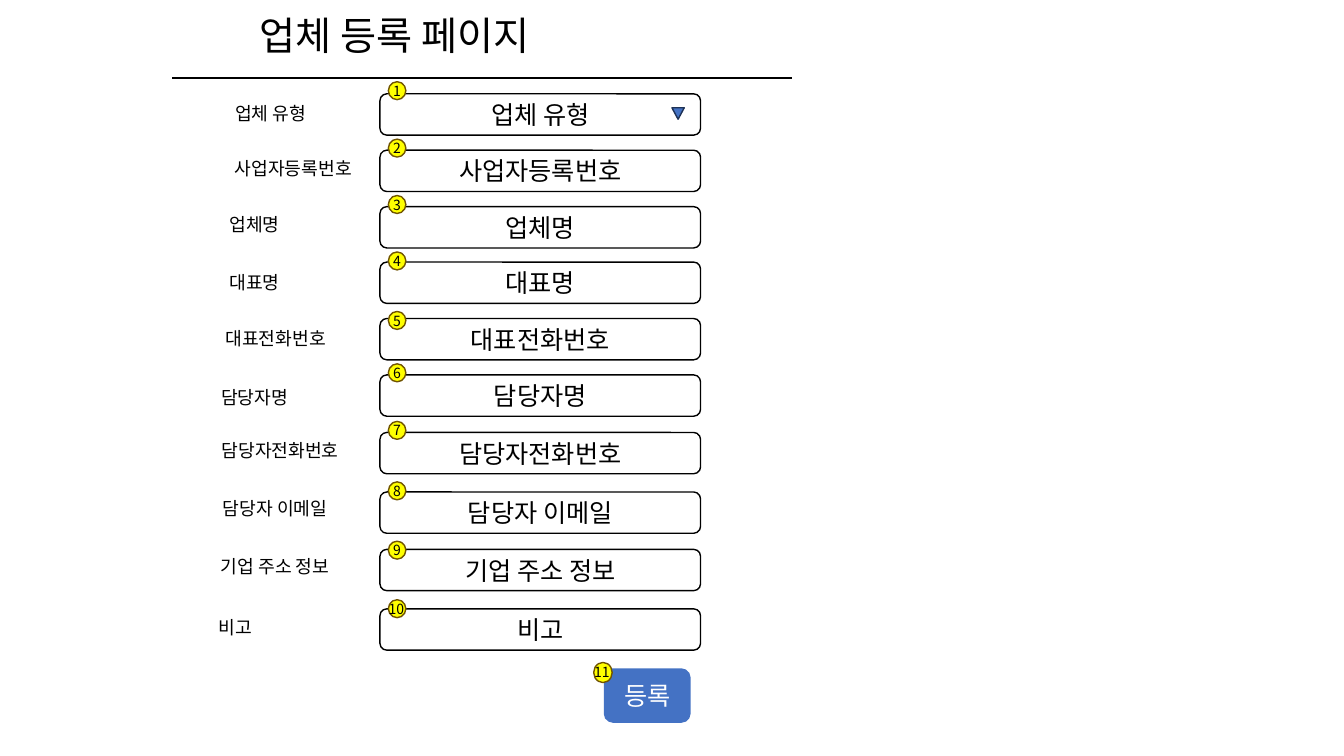
import pptx
import pptx.dml.color
import pptx.enum.shapes
import pptx.enum.text
import pptx.oxml.ns
import pptx.util
import lxml.etree

Pt = pptx.util.Pt
SHAPE = pptx.enum.shapes.MSO_SHAPE
ALIGN = pptx.enum.text.PP_ALIGN
ANCHOR = pptx.enum.text.MSO_ANCHOR
FIT = pptx.enum.text.MSO_AUTO_SIZE
FONT = "Noto Sans CJK KR"
BLACK, WHITE, BLUE = "000000", "FFFFFF", "4472C4"
YELLOW, BROWN, NAVY = "FFFF00", "705400", "1E3256"

NO_MARGINS = {"margin_left": 0, "margin_right": 0, "margin_top": 0, "margin_bottom": 0}
CENTERED = {"vertical_anchor": ANCHOR.MIDDLE, "word_wrap": True}
BADGE_FRAME = {**NO_MARGINS, "vertical_anchor": ANCHOR.MIDDLE, "word_wrap": False}
GROWING = {"word_wrap": True, "auto_size": FIT.SHAPE_TO_FIT_TEXT}

FIELD_WIDTH, FIELD_HEIGHT = 229, 29.5
LABEL_HEIGHT = 26.6

# name, field top, label left, label width, label shift, badge shift
FIELDS = [
    ("업체 유형", 67, 145.4, 95.8, 0.7, -8.6),
    ("사업자등록번호", 107.3, 156.2, 106.6, -0.7, -7.9),
    ("업체명", 147.6, 133.9, 95.8, -0.7, -7.9),
    ("대표명", 187.2, 133.9, 95.8, 1.4, -7.2),
    ("대표전화번호", 227.5, 149, 95.8, 0.7, -5),
    ("담당자명", 267.8, 133.9, 95.8, 2.9, -7.9),
    ("담당자전화번호", 308.9, 145.4, 109.4, -0.7, -7.9),
    ("담당자 이메일", 351.4, 145.4, 102.2, -1.4, -7.2),
    ("기업 주소 정보", 392.4, 145.4, 102.2, -1.4, -5.8),
    ("비고", 434.9, 120.2, 95.8, 0, -6.5),
]


def color(value):
    return pptx.dml.color.RGBColor.from_string(value)


def apply(target, values):
    for name, value in values.items():
        setattr(target, name, value)


def write(part, text, size, ink, frame, align):
    apply(part.text_frame, frame)
    paragraph = part.text_frame.paragraphs[0]
    paragraph.alignment = align
    run = paragraph.add_run()
    apply(run, {"text": text})
    apply(run.font, {"size": Pt(size), "name": FONT})
    run.font.color.rgb = color(ink)
    east_asian = lxml.etree.SubElement(run.font._element, pptx.oxml.ns.qn("a:ea"))
    east_asian.set("typeface", FONT)


def add_block(slide, kind, box, fill, outline=None, text="", size=18, ink=BLACK, frame=CENTERED):
    block = slide.shapes.add_shape(kind, *map(Pt, box))
    block.shadow.inherit = False
    block.fill.solid()
    block.fill.fore_color.rgb = color(fill)
    if outline:
        block.line.width = Pt(1)
        block.line.color.rgb = color(outline)
    else:
        block.line.fill.background()
    if text:
        write(block, text, size, ink, frame, ALIGN.CENTER)


def add_caption(slide, box, text, size):
    caption = slide.shapes.add_textbox(*map(Pt, box))
    write(caption, text, size, BLACK, GROWING, ALIGN.LEFT)


def add_badge(slide, box, number):
    left, top, width, height = box
    if number < 10:
        add_block(slide, SHAPE.FLOWCHART_CONNECTOR, box, YELLOW, BROWN, str(number), 10, frame=BADGE_FRAME)
    else:
        add_block(slide, SHAPE.FLOWCHART_CONNECTOR, box, YELLOW, BROWN)
        add_caption(slide, (left - 6.8, top - 2.7, 28, 19.4), str(number), 10)


def add_header(slide, box):
    left, top, width, height = box
    add_caption(slide, (left + 55.5, top, 310.3, 41), "업체 등록 페이지", 28)
    bottom = top + height
    rule = slide.shapes.add_connector(
        pptx.enum.shapes.MSO_CONNECTOR.STRAIGHT, Pt(left), Pt(bottom), Pt(left + width), Pt(bottom))
    rule.line.width = Pt(1.5)
    rule.line.color.rgb = color(BLACK)
    lxml.etree.SubElement(rule._element.spPr, pptx.oxml.ns.qn("a:effectLst"))


def add_field(slide, box, number, name, label_left, label_width, label_shift, badge_shift):
    left, top, width, height = box
    add_block(slide, SHAPE.ROUNDED_RECTANGLE, box, WHITE, BLACK, name)
    label_box = (label_left, top + label_shift, label_width, LABEL_HEIGHT)
    add_block(slide, SHAPE.RECTANGLE, label_box, WHITE, WHITE, name, 13)
    add_badge(slide, (left + 6, top + badge_shift, 12.5, 12.8), number)


def add_dropdown_arrow(slide, box):
    left, top, width, height = box
    add_block(slide, SHAPE.FLOWCHART_MERGE, (left + width - 20.4, top + 10, 8.8, 8.2), BLUE, NAVY)


def add_submit(slide, box, number):
    left, top, width, height = box
    add_block(slide, SHAPE.ROUNDED_RECTANGLE, box, BLUE, text="등록", ink=WHITE)
    add_badge(slide, (left - 7.2, top - 4.2, 13.2, 14.4), number)


def main():
    deck = pptx.Presentation()
    apply(deck, {"slide_width": Pt(960), "slide_height": Pt(540)})
    slide = deck.slides.add_slide(deck.slide_layouts[6])
    add_header(slide, (123, 4.3, 442.8, 51.2))
    for number, (name, top, *placement) in enumerate(FIELDS, 1):
        add_field(slide, (271.4, top, FIELD_WIDTH, FIELD_HEIGHT), number, name, *placement)
    add_dropdown_arrow(slide, (271.4, FIELDS[0][1], FIELD_WIDTH, FIELD_HEIGHT))
    add_submit(slide, (431.3, 477.4, 62, 38.9), len(FIELDS) + 1)
    deck.save("out.pptx")


if __name__ == "__main__":
    main()
